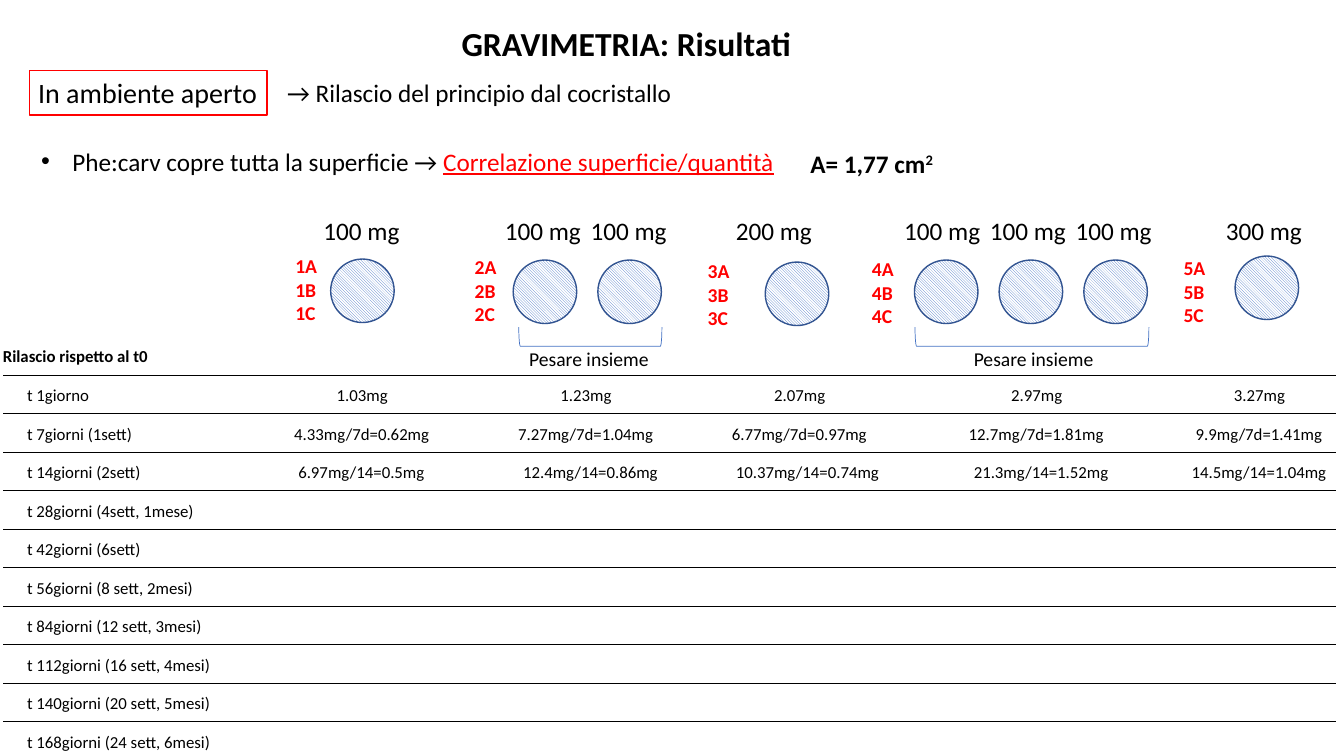
"""Build the gravimetry results slide: sample dishes above a release timetable."""
from lxml.etree import SubElement
from pptx import Presentation
from pptx.dml.color import RGBColor
from pptx.enum.dml import MSO_PATTERN
from pptx.enum.shapes import MSO_CONNECTOR, MSO_SHAPE
from pptx.enum.text import MSO_AUTO_SIZE
from pptx.oxml.ns import qn
from pptx.util import Inches, Pt

rgb = RGBColor.from_string


def add_label(shapes, left, top, width, height, parts, size, color="000000", bold=False):
    label = shapes.add_textbox(Inches(left), Inches(top), Inches(width), Inches(height))
    frame = label.text_frame
    frame.word_wrap = False
    frame.auto_size = MSO_AUTO_SIZE.SHAPE_TO_FIT_TEXT
    frame.text = parts[0]
    for part in parts[1:]:
        frame.paragraphs[-1].add_run().text = part
    for paragraph in frame.paragraphs:
        for run in paragraph.runs:
            run.font.name = "Calibri"
            run.font.size = Pt(size)
            run.font.bold = bold
            run.font.color.rgb = rgb(color)
    return frame.paragraphs[0]


def add_outline(shapes, kind, left, top, width, height, color, weight):
    outline = shapes.add_shape(kind, Inches(left), Inches(top), Inches(width), Inches(height))
    outline.shadow.inherit = False
    outline.fill.background()
    outline.line.color.rgb = rgb(color)
    outline.line.width = Pt(weight)
    return outline


prs = Presentation()
prs.slide_width, prs.slide_height = Inches(13.33), Inches(7.5)
slide = prs.slides.add_slide(prs.slide_layouts[6])
shapes = slide.shapes

add_label(shapes, 4.48, 0.18, 3.5, 0.5, ["GRAVIMETRIA: Risultati"], 24, bold=True)
add_label(shapes, 0.28, 0.7, 2.39, 0.44, ["In ambiente aperto"], 20)
add_outline(shapes, MSO_SHAPE.RECTANGLE, 0.29, 0.7, 2.36, 0.44, "FF0000", 1)
add_label(shapes, 2.75, 0.72, 4.13, 0.4, ["→ Rilascio del principio dal cocristallo"], 18)

coverage = add_label(shapes, 0.31, 1.4, 7.58, 0.4, [
    "Phe:carv copre tutta la superficie → ", "Correlazione superficie/quantità"], 18)
correlation = coverage.runs[1]
correlation.font.color.rgb = rgb("FF0000")
correlation.font.underline = True
bullet_format = coverage._p.get_or_add_pPr()
bullet_format.set("marL", str(Inches(0.31)))
bullet_format.set("indent", str(Inches(-0.31)))
SubElement(bullet_format, qn("a:buFont")).set("typeface", "Arial")
SubElement(bullet_format, qn("a:buChar")).set("char", "•")

area = add_label(shapes, 7.94, 1.42, 1.47, 0.4, ["A= 1,77 cm", "2"], 18, bold=True)
area.runs[1]._r.get_or_add_rPr().set("baseline", "30000")

samples = [
    ("100 mg", 1, 3.11, 3.28, 2.57, 2.83, 2.47),
    ("100 mg", 2, 4.91, 5.09, 2.58, 4.61, 2.48),
    ("200 mg", 1, 7.2, 7.59, 2.6, 6.92, 2.52),
    ("100 mg", 3, 8.87, 9.07, 2.58, 8.55, 2.5),
    ("300 mg", 1, 12.06, 12.25, 2.54, 11.64, 2.49),
]
for number, (mass, dishes, mass_left, dish_left, dish_top, tag_left, tag_top) in enumerate(samples, 1):
    sample = shapes.add_group_shape().shapes
    for i in range(dishes):
        dish = add_outline(sample, MSO_SHAPE.OVAL, dish_left + 0.84 * i, dish_top,
                           0.63, 0.63, "325491", 1)
        dish.fill.patterned()
        dish.fill.pattern = MSO_PATTERN.DARK_DOWNWARD_DIAGONAL
        dish.fill.fore_color.rgb = rgb("4472C4")
        dish.fill.back_color.rgb = rgb("FFFFFF")
        add_label(sample, mass_left + 0.85 * i, 2.09, 0.96, 0.4, [mass], 18)
    tags = "\n".join(f"{number}{replica}" for replica in "ABC")
    add_label(sample, tag_left, tag_top, 0.42, 0.81, [tags], 14, "FF0000", True)

for sample_index, center, span, caption_left in [(1, 5.85, 1.42, 5.15), (3, 10.23, 2.32, 9.56)]:
    pair = shapes.add_group_shape().shapes
    bracket = add_outline(pair, MSO_SHAPE.RIGHT_BRACKET, center - 0.09, 3.34 - span / 2,
                          0.19, span, "4472C4", 0.5)
    bracket.rotation = 90
    add_label(pair, caption_left, 3.39, 1.4, 0.34, ["Pesare insieme"], 14)

add_label(shapes, -0.07, 3.38, 1.66, 0.3, ["Rilascio rispetto al t0"], 12, bold=True)
first_rule, row_step = 3.72, 0.38222
times = [
    ("t 1giorno", 0.82), ("t 7giorni (1sett)", 1.26), ("t 14giorni (2sett)", 1.35),
    ("t 28giorni (4sett, 1mese)", 1.88), ("t 42giorni (6sett)", 1.35),
    ("t 56giorni (8 sett, 2mesi)", 1.87), ("t 84giorni (12 sett, 3mesi)", 1.96),
    ("t 112giorni (16 sett, 4mesi)", 2.05), ("t 140giorni (20 sett, 5mesi)", 2.05),
    ("t 168giorni (24 sett, 6mesi)", 2.05),
]
for row, (time, width) in enumerate(times):
    rule_top = first_rule + row_step * row
    add_label(shapes, 0.17, rule_top + 0.05, width, 0.3, [time], 12)
    rule = shapes.add_connector(MSO_CONNECTOR.STRAIGHT, Inches(0.03), Inches(rule_top),
                                Inches(13.25), Inches(rule_top))
    rule.line.color.rgb = rgb("000000")
    rule.line.width = Pt(0.5)
    SubElement(rule._element.spPr, qn("a:effectLst"))

releases = [
    [(3.24, "1.03mg"), (2.82, "4.33mg/7d=0.62mg"), (2.86, "6.97mg/14=0.5mg")],
    [(5.46, "1.23mg"), (5.04, "7.27mg/7d=1.04mg"), (5.09, "12.4mg/14=0.86mg")],
    [(7.58, "2.07mg"), (7.16, "6.77mg/7d=0.97mg"), (7.2, "10.37mg/14=0.74mg")],
    [(9.93, "2.97mg"), (9.51, "12.7mg/7d=1.81mg"), (9.56, "21.3mg/14=1.52mg")],
    [(12.14, "3.27mg"), (11.76, "9.9mg/7d=1.41mg"), (11.72, "14.5mg/14=1.04mg")],
]
for column in releases:
    for row, (left, release) in enumerate(column):
        width = 0.2 + 0.085 * len(release)
        add_label(shapes, left, first_rule + row_step * row + 0.05, width, 0.3, [release], 12)

prs.save("out.pptx")
